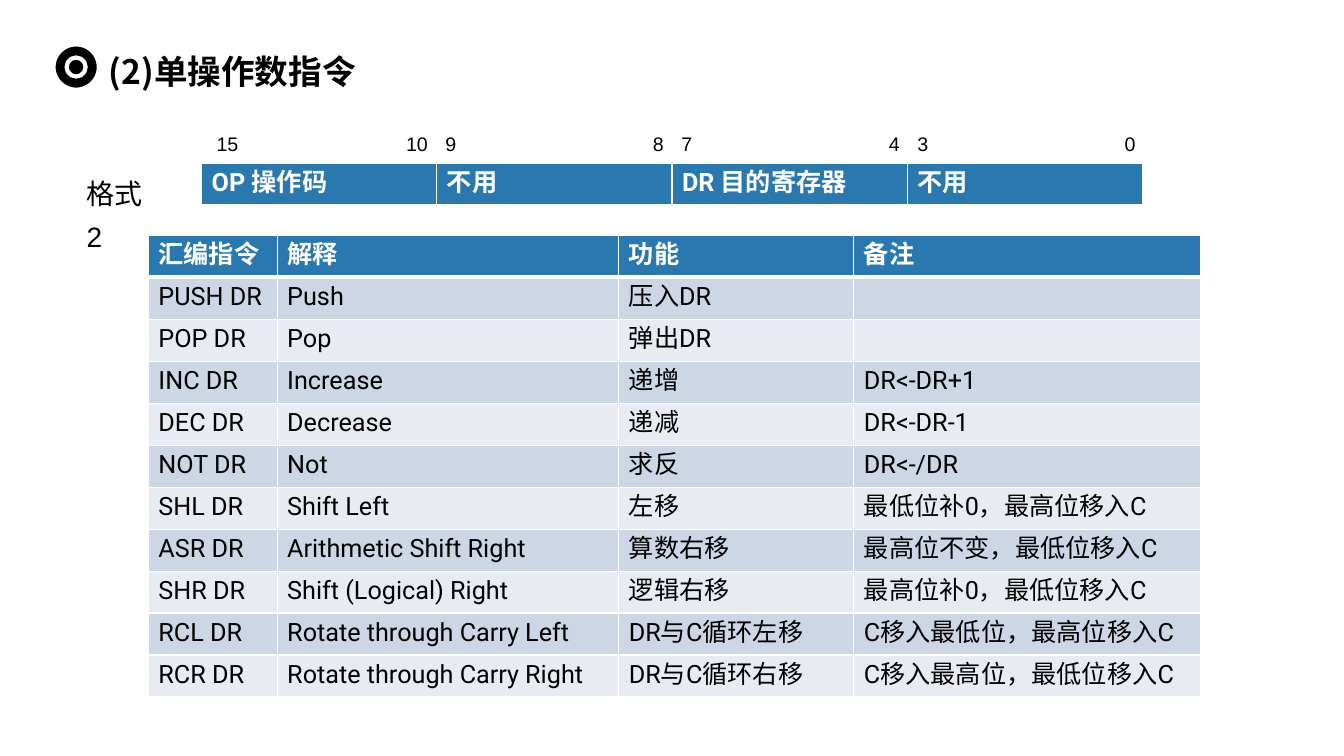
from lxml import etree
from pptx import Presentation
from pptx.dml.color import RGBColor
from pptx.enum.shapes import MSO_SHAPE
from pptx.enum.text import MSO_ANCHOR, PP_ALIGN
from pptx.oxml.ns import qn
from pptx.util import Pt

ELLIPSE = MSO_SHAPE.OVAL
MIDDLE = MSO_ANCHOR.MIDDLE
LEFT = PP_ALIGN.LEFT

COLORS = {
    "black": "000000",
    "white": "FFFFFF",
    "header": "2A78B0",
    "odd": "CDD6E4",
    "even": "E8ECF2",
}
ROW_HEIGHT = 30


def write(para, text, size, font, color="black", bold=False):
    span = para.add_run()
    span.text = text
    span.font.size = Pt(size)
    span.font.name = font
    span.font.bold = bold
    span.font.color.rgb = RGBColor.from_string(COLORS[color])
    east_asian = etree.SubElement(span.font._element, qn("a:ea"))
    east_asian.set("typeface", font)


def build_table(page, left, top, widths, rows):
    frame = page.shapes.add_table(
        len(rows), len(widths), Pt(left), Pt(top), Pt(sum(widths)), Pt(ROW_HEIGHT * len(rows))
    )
    table = frame.table
    table.horz_banding = False
    for column, width in zip(table.columns, widths):
        column.width = Pt(width)
    for r, texts in enumerate(rows):
        table.rows[r].height = Pt(ROW_HEIGHT)
        header = r == 0
        fill = "header" if header else "odd" if r % 2 else "even"
        for c, text in enumerate(texts):
            cell = table.cell(r, c)
            properties = cell._tc.get_or_add_tcPr()
            for side in ("lnL", "lnR", "lnT", "lnB"):
                thick = (header and side == "lnB") or (r == 1 and side == "lnT")
                border = etree.SubElement(properties, qn(f"a:{side}"), w=str(Pt(3 if thick else 1)))
                solid = etree.SubElement(border, qn("a:solidFill"))
                etree.SubElement(solid, qn("a:srgbClr"), val=COLORS["white"])
            cell.fill.solid()
            cell.fill.fore_color.rgb = RGBColor.from_string(COLORS[fill])
            if text:
                write(cell.text_frame.paragraphs[0], text, 18, "Roboto",
                      "white" if header else "black", header)


deck = Presentation()
deck.slide_width = Pt(960)
deck.slide_height = Pt(540)
page = deck.slides.add_slide(deck.slide_layouts[5])

title = page.shapes.title
title.left, title.top, title.width, title.height = Pt(70.6), Pt(23), Pt(869), Pt(50.4)
title.text_frame.vertical_anchor = MIDDLE
title.text_frame.word_wrap = True
para = title.text_frame.paragraphs[0]
para.alignment = LEFT
para.line_spacing = 1.2
write(para, "(2)单操作数指令", 24, "Noto Sans CJK SC", bold=True)

for diameter in (32.4, 13.6):
    ring = page.shapes.add_shape(
        ELLIPSE, Pt(54.4 - diameter / 2), Pt(47.9 - diameter / 2), Pt(diameter), Pt(diameter)
    )
    ring.shadow.inherit = False
    ring.fill.solid()
    ring.fill.fore_color.rgb = RGBColor.from_string(COLORS["black"])
    ring.line.color.rgb = RGBColor.from_string(COLORS["white"])
    ring.line.width = Pt(3)

build_table(page, 144, 116.8, [168] * 4, [["OP 操作码", "不用", "DR 目的寄存器", "不用"]])

bits = page.shapes.add_textbox(Pt(147.6), Pt(85.7), Pt(682), Pt(29.5))
bits.text_frame.word_wrap = True
para = bits.text_frame.paragraphs[0]
para.line_spacing = 1.3
tabs = etree.SubElement(para._p.get_or_add_pPr(), qn("a:tabLst"))
for field in range(4):
    low_bit = 151 + 168.5 * field
    etree.SubElement(tabs, qn("a:tab"), pos=str(Pt(low_bit)), algn="r")
    if field < 3:
        etree.SubElement(tabs, qn("a:tab"), pos=str(Pt(low_bit + 12.5)), algn="l")
write(para, "15\t10\t9\t8\t7\t4\t3\t0", 14, "Arial")

label = page.shapes.add_textbox(Pt(54.7), Pt(115.2), Pt(65), Pt(39))
label.text_frame.word_wrap = True
para = label.text_frame.paragraphs[0]
para.line_spacing = 1.3
write(para, "格式2", 20, "Arial")

instructions = [
    ["汇编指令", "解释", "功能", "备注"],
    ["PUSH DR", "Push", "压入DR", ""],
    ["POP DR", "Pop", "弹出DR", ""],
    ["INC DR", "Increase", "递增", "DR<-DR+1"],
    ["DEC DR", "Decrease", "递减", "DR<-DR-1"],
    ["NOT DR", "Not", "求反", "DR<-/DR"],
    ["SHL DR", "Shift Left", "左移", "最低位补0，最高位移入C"],
    ["ASR DR", "Arithmetic Shift Right", "算数右移", "最高位不变，最低位移入C"],
    ["SHR DR", "Shift (Logical) Right", "逻辑右移", "最高位补0，最低位移入C"],
    ["RCL DR", "Rotate through Carry Left", "DR与C循环左移", "C移入最低位，最高位移入C"],
    ["RCR DR", "Rotate through Carry Right", "DR与C循环右移", "C移入最高位，最低位移入C"],
]
build_table(page, 106, 168, [92, 244, 168, 248], instructions)

deck.save("out.pptx")
